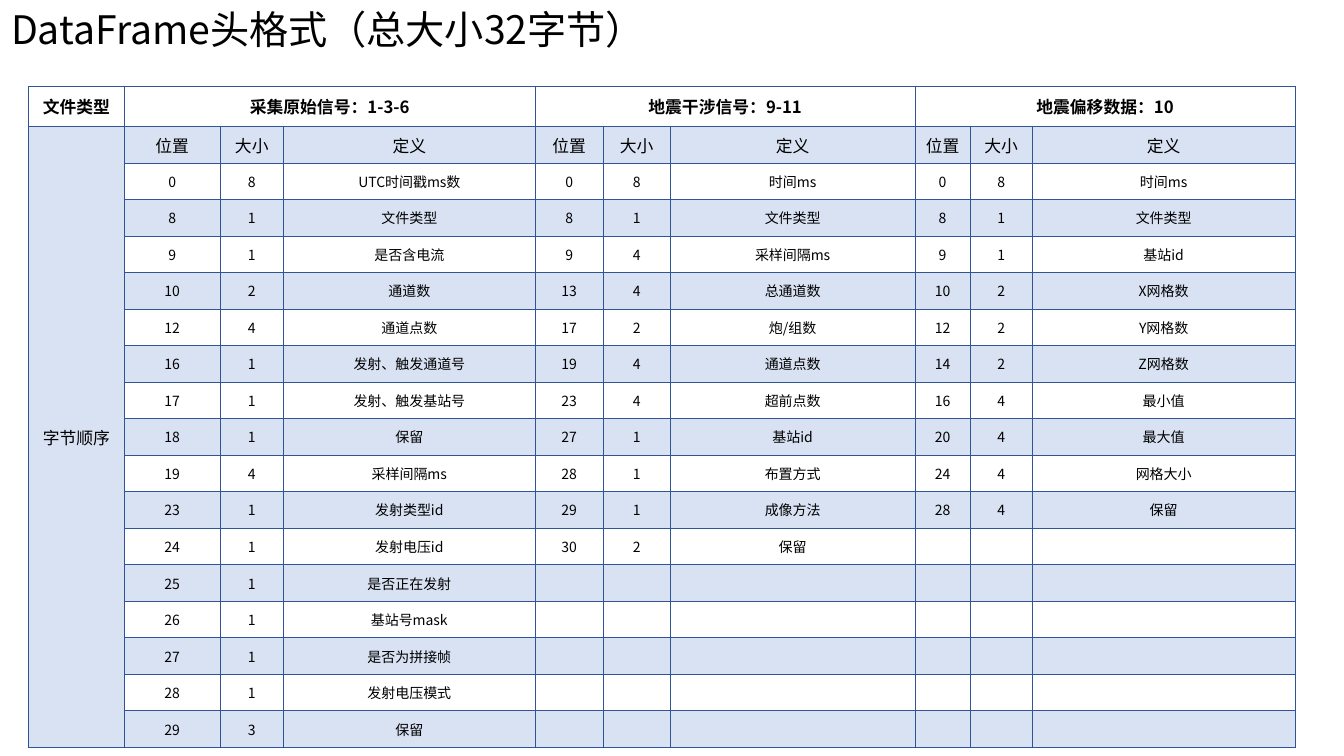
from lxml import etree
from pptx import Presentation
from pptx.dml.color import RGBColor
from pptx.enum.text import MSO_ANCHOR, PP_ALIGN
from pptx.oxml.ns import qn
from pptx.util import Cm, Pt

CENTER = PP_ALIGN.CENTER
MIDDLE = MSO_ANCHOR.MIDDLE

THEME = {
    "font": "Noto Sans CJK SC",
    "text": RGBColor(0x00, 0x00, 0x00),
    "band": RGBColor(0x44, 0x72, 0xC4),
    "band_alpha": 20,
    "border": "2F5597",
    "border_width": Pt(0.5),
    "title_size": Pt(28),
    "heading_size": Pt(12),
    "body_size": Pt(10),
}

COLUMN_WIDTHS = [2.41, 2.42, 1.59, 6.35, 1.71, 1.69, 6.17, 1.39, 1.56, 6.63]
HEADER_HEIGHT = 1.02
ROW_HEIGHT = 0.92
ROW_COUNT = 18
FIELD_HEADINGS = ["位置", "大小", "定义"]

# Each field is (size in bytes, definition); its position is the sum of the sizes before it.
FORMATS = {
    "采集原始信号：1-3-6": [
        (8, "UTC时间戳ms数"), (1, "文件类型"), (1, "是否含电流"), (2, "通道数"),
        (4, "通道点数"), (1, "发射、触发通道号"), (1, "发射、触发基站号"), (1, "保留"),
        (4, "采样间隔ms"), (1, "发射类型id"), (1, "发射电压id"), (1, "是否正在发射"),
        (1, "基站号mask"), (1, "是否为拼接帧"), (1, "发射电压模式"), (3, "保留"),
    ],
    "地震干涉信号：9-11": [
        (8, "时间ms"), (1, "文件类型"), (4, "采样间隔ms"), (4, "总通道数"),
        (2, "炮/组数"), (4, "通道点数"), (4, "超前点数"), (1, "基站id"),
        (1, "布置方式"), (1, "成像方法"), (2, "保留"),
    ],
    "地震偏移数据：10": [
        (8, "时间ms"), (1, "文件类型"), (1, "基站id"), (2, "X网格数"),
        (2, "Y网格数"), (2, "Z网格数"), (4, "最小值"), (4, "最大值"),
        (4, "网格大小"), (4, "保留"),
    ],
}


def write_text(paragraph, text, size, bold=False):
    run = paragraph.add_run()
    run.text = text
    font_format = {"size": size, "bold": bold, "name": THEME["font"]}
    for name, value in font_format.items():
        setattr(run.font, name, value)
    run.font.color.rgb = THEME["text"]
    east_asian = etree.SubElement(run.font._element, qn("a:ea"))
    east_asian.set("typeface", THEME["font"])


def style_cell(cell, banded):
    """Set the margins, borders and band fill of one table cell."""
    cell_format = {"margin_top": 0, "margin_bottom": 0, "vertical_anchor": MIDDLE}
    for name, value in cell_format.items():
        setattr(cell, name, value)
    properties = cell._tc.get_or_add_tcPr()
    for side in ("a:lnL", "a:lnR", "a:lnT", "a:lnB"):
        line = etree.SubElement(properties, qn(side), w=str(THEME["border_width"]))
        line_fill = etree.SubElement(line, qn("a:solidFill"))
        etree.SubElement(line_fill, qn("a:srgbClr"), val=THEME["border"])
    if not banded:
        cell.fill.background()
        return
    cell.fill.solid()
    cell.fill.fore_color.rgb = THEME["band"]
    color = properties.find(qn("a:solidFill")).find(qn("a:srgbClr"))
    etree.SubElement(color, qn("a:alpha"), val=str(THEME["band_alpha"] * 1000))


presentation = Presentation()
presentation.slide_width = Cm(33.87)
presentation.slide_height = Cm(19.05)
slide = presentation.slides.add_slide(presentation.slide_layouts[6])

# Title
title = slide.shapes.add_textbox(Cm(0.03), Cm(0), Cm(27.53), Cm(1.45))
title.text_frame.word_wrap = True
write_text(title.text_frame.paragraphs[0], "DataFrame头格式（总大小32字节）", THEME["title_size"])

# Table grid
table_width = sum(COLUMN_WIDTHS)
table_height = HEADER_HEIGHT + (ROW_COUNT - 1) * ROW_HEIGHT
table = slide.shapes.add_table(
    ROW_COUNT, len(COLUMN_WIDTHS), Cm(0.72), Cm(2.17), Cm(table_width), Cm(table_height)
).table
table.first_row = False
table.horz_banding = False
for column, width in zip(table.columns, COLUMN_WIDTHS):
    column.width = Cm(width)
for row_index, row in enumerate(table.rows):
    row.height = Cm(ROW_HEIGHT if row_index else HEADER_HEIGHT)
    for column_index, cell in enumerate(row.cells):
        in_label_column = column_index == 0 and row_index > 0
        style_cell(cell, banded=in_label_column or row_index % 2 == 1)

# Cell texts by (row, column)
texts = {(0, 0): "文件类型", (1, 0): "字节顺序"}
table.cell(1, 0).merge(table.cell(ROW_COUNT - 1, 0))
for format_index, (format_name, fields) in enumerate(FORMATS.items()):
    first_column = 1 + format_index * len(FIELD_HEADINGS)
    last_column = first_column + len(FIELD_HEADINGS) - 1
    table.cell(0, first_column).merge(table.cell(0, last_column))
    texts[0, first_column] = format_name

    field_rows = [FIELD_HEADINGS]
    position = 0
    for size, definition in fields:
        field_rows.append([position, size, definition])
        position += size
    for row_index, values in enumerate(field_rows, start=1):
        for column_index, value in enumerate(values, start=first_column):
            texts[row_index, column_index] = str(value)

for (row_index, column_index), text in texts.items():
    paragraph = table.cell(row_index, column_index).text_frame.paragraphs[0]
    paragraph.alignment = CENTER
    size = THEME["heading_size"] if row_index < 2 else THEME["body_size"]
    write_text(paragraph, text, size, bold=row_index == 0)

presentation.save("out.pptx")
